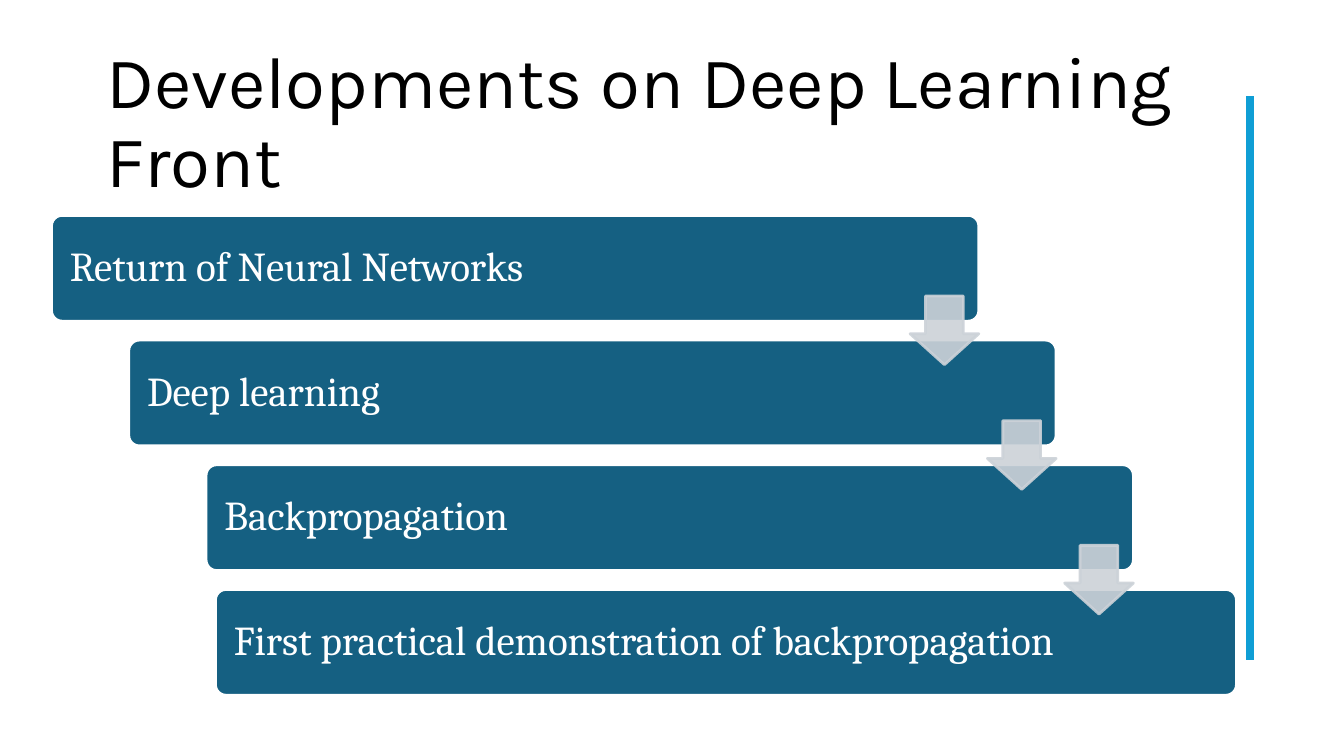
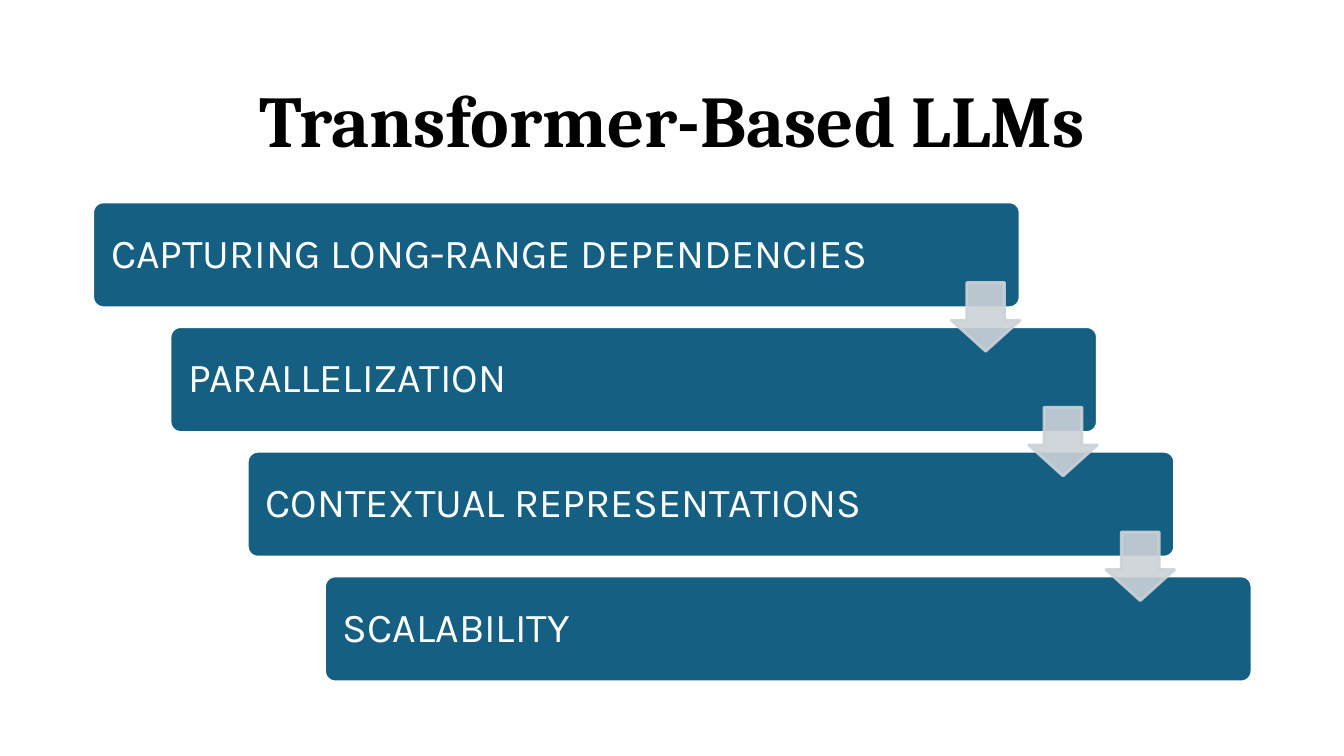
from lxml.etree import SubElement
from pptx import Presentation
from pptx.dml.color import RGBColor
from pptx.enum.shapes import MSO_CONNECTOR, MSO_SHAPE
from pptx.enum.text import MSO_ANCHOR, MSO_AUTO_SIZE, PP_ALIGN
from pptx.oxml.ns import qn
from pptx.util import Pt

COLORS = {"bar": "156082", "arrow": "CCD2D8", "rule": "0F9ED5",
          "white": "FFFFFF", "black": "000000"}
SERIF, SANS = "Cambria", "Karla"
TITLE_BOX = (49.7, 33.1, 620.6, 67)
BAR_WIDTH, BAR_HEIGHT = 496.8, 56.7
STEP_X, STEP_Y = 41.4, 66.8
ARROW_SIZE = 36.8
ARROW_OFFSET = (460, 43.2)


def color(name):
    return RGBColor.from_string(COLORS[name])


def points(*lengths):
    return [Pt(length) for length in lengths]


def style_text(paragraph, font_name, size, color_name, align, bold=False):
    paragraph.alignment = align
    paragraph.line_spacing = 0.9
    font = paragraph.font
    font.name, font.size, font.bold = font_name, Pt(size), bold
    font.color.rgb = color(color_name)


def add_title(slide, text, font_name, align, bold=False):
    title = slide.shapes.title
    title.left, title.top, title.width, title.height = points(*TITLE_BOX)
    frame = title.text_frame
    frame.text = text
    frame.word_wrap = True
    frame.auto_size = MSO_AUTO_SIZE.NONE
    frame.vertical_anchor = MSO_ANCHOR.MIDDLE
    style_text(frame.paragraphs[0], font_name, 39, "black", align, bold)


def add_block(shapes, kind, box, fill, line, adjustments):
    shape = shapes.add_shape(kind, *points(*box))
    shape.shadow.inherit = False
    shape.fill.solid()
    shape.fill.fore_color.rgb = color(fill)
    shape.line.color.rgb = color(line)
    shape.line.width = Pt(1.5)
    for index, value in enumerate(adjustments):
        shape.adjustments[index] = value
    return shape


def add_bar(shapes, box, text, font_name):
    bar = add_block(shapes, MSO_SHAPE.ROUNDED_RECTANGLE, box, "bar", "white", [0.1])
    frame = bar.text_frame
    frame.text = text
    frame.word_wrap = True
    frame.vertical_anchor = MSO_ANCHOR.MIDDLE
    frame.margin_left = frame.margin_right = Pt(8.2)
    style_text(frame.paragraphs[0], font_name, 22, "white", PP_ALIGN.LEFT)


def add_arrow(shapes, left, top):
    arrow = add_block(shapes, MSO_SHAPE.DOWN_ARROW, (left, top, ARROW_SIZE, ARROW_SIZE),
                      "arrow", "arrow", [0.55, 0.45])
    for rgb in arrow.element.spPr.iter(qn("a:srgbClr")):
        SubElement(rgb, qn("a:alpha"), val="90000")


def add_staircase(slide, left, top, steps, font_name, last_bar=None):
    """Draw descending bars joined by arrows; last_bar overrides (left offset, width)."""
    shapes = slide.shapes.add_group_shape().shapes
    places = [(STEP_X * index, BAR_WIDTH) for index in range(len(steps))]
    if last_bar:
        places[-1] = last_bar
    for index, (text, (offset, width)) in enumerate(zip(steps, places)):
        box = (left + offset, top + STEP_Y * index, width, BAR_HEIGHT)
        add_bar(shapes, box, text, font_name)
    for index in range(len(steps) - 1):
        add_arrow(shapes, left + STEP_X * index + ARROW_OFFSET[0],
                  top + STEP_Y * index + ARROW_OFFSET[1])


def add_side_rule(slide, x, top, bottom):
    rule = slide.shapes.add_connector(MSO_CONNECTOR.STRAIGHT, *points(x, bottom, x, top))
    rule.line.color.rgb = color("rule")
    rule.line.width = Pt(4.5)
    SubElement(rule.element.spPr, qn("a:effectLst"))


def add_slide(presentation):
    slide = presentation.slides.add_slide(presentation.slide_layouts[5])
    slide.background.fill.solid()
    slide.background.fill.fore_color.rgb = color("white")
    return slide


def build_developments(presentation):
    slide = add_slide(presentation)
    add_side_rule(slide, 669.6, 51.4, 353.5)
    add_title(slide, "Developments on Deep Learning Front", SANS, PP_ALIGN.LEFT)
    steps = ["Return of Neural Networks", "Deep learning", "Backpropagation",
             "First practical demonstration of backpropagation"]
    add_staircase(slide, 27.6, 115.4, steps, SERIF, last_bar=(87.8, 547))


def build_transformers(presentation):
    slide = add_slide(presentation)
    add_title(slide, "Transformer-Based LLMs", SERIF, PP_ALIGN.CENTER, bold=True)
    steps = ["CAPTURING LONG-RANGE DEPENDENCIES", "PARALLELIZATION",
             "CONTEXTUAL REPRESENTATIONS", "SCALABILITY"]
    add_staircase(slide, 49.7, 108.2, steps, SANS)


def main():
    presentation = Presentation()
    presentation.slide_width, presentation.slide_height = points(720, 405)
    build_developments(presentation)
    build_transformers(presentation)
    presentation.save("out.pptx")


if __name__ == "__main__":
    main()
